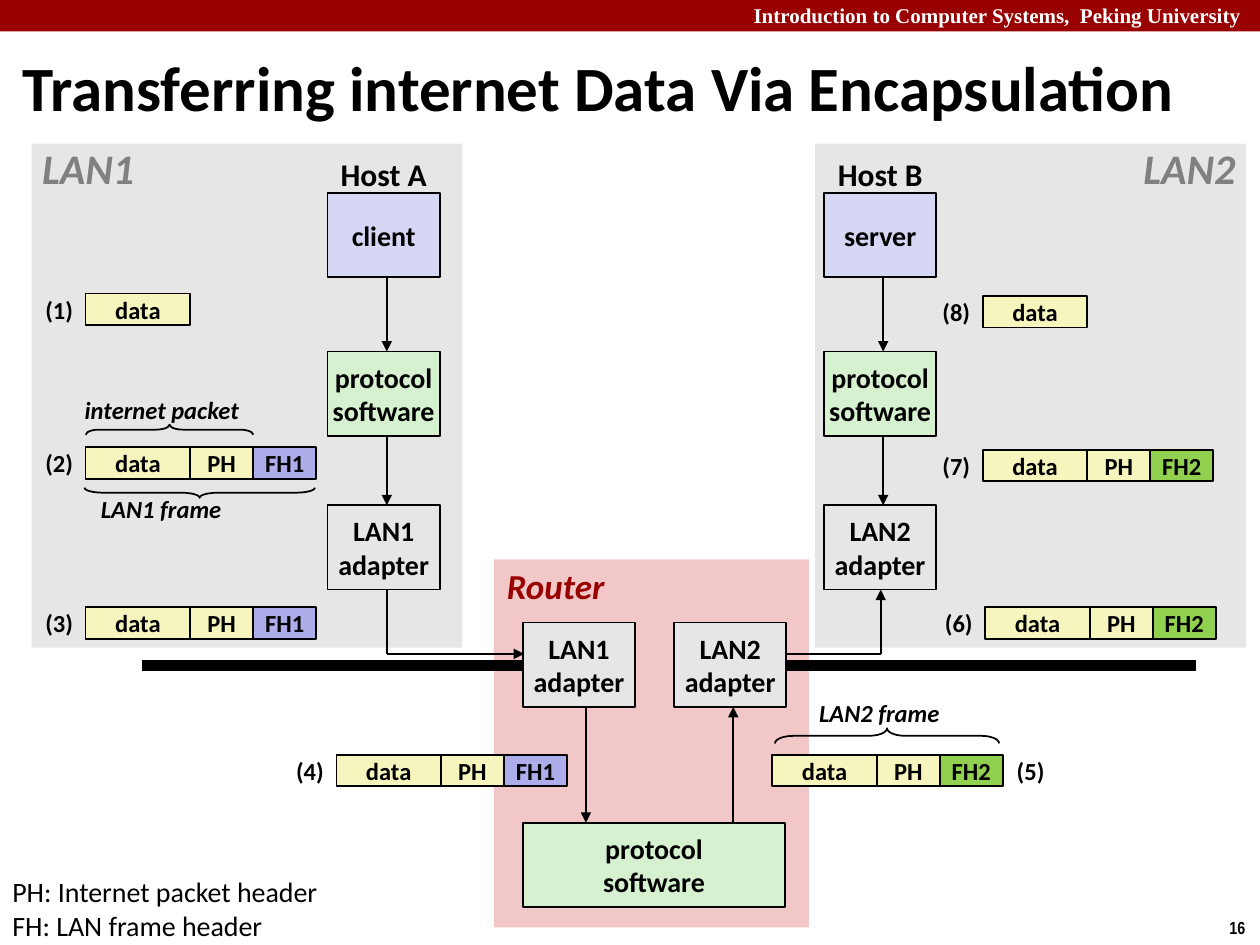
from lxml import etree
from pptx import Presentation
from pptx import util as u
from pptx.dml.color import RGBColor
from pptx.enum import shapes, text
from pptx.oxml.ns import qn

COLORS = {
    "banner": "990000", "white": "FFFFFF", "ink": "000000", "muted": "808080",
    "lan": "E6E6E6", "router": "F1C7C7", "app": "D6D6F5", "protocol": "D5F1CF",
    "adapter": "E6E6E6", "data": "F6F5BD", "PH": "F6F5BD",
    "FH1": "ADADEB", "FH2": "92D050",
}
LEFT, CENTER, RIGHT = (text.PP_ALIGN.LEFT, text.PP_ALIGN.CENTER, text.PP_ALIGN.RIGHT)

# Background areas: left, top, width, height, colour
PANELS = [
    (0, 0, 10, 0.25, "banner"),
    (6.47, 1.14, 3.42, 4, "lan"),
    (0.25, 1.14, 3.42, 4, "lan"),
    (3.92, 4.44, 2.5, 2.92, "router"),
]

# Each host is a column of three stacked boxes
BOX_W, BOX_H = 0.89, 0.67
HOST_ROWS = (1.53, 2.79, 4.01)
HOST_KINDS = ("app", "protocol", "adapter")
HOSTS = [
    (2.6, "Host A", ("client", "protocol\nsoftware", "LAN1\nadapter")),
    (6.54, "Host B", ("server", "protocol\nsoftware", "LAN2\nadapter")),
]
STEM = 0.47  # arrow position within a host box

ROUTER_BOXES = [
    (4.15, 4.94, BOX_W, "LAN1\nadapter", "adapter"),
    (5.35, 4.94, BOX_W, "LAN2\nadapter", "adapter"),
    (4.15, 6.53, 2.08, "protocol\nsoftware", "protocol"),
]

# Routes with an arrowhead at the last point
ROUTES = [
    [(3.07, 4.68), (3.07, 5.19), (4.16, 5.19)],
    [(6.24, 5.19), (6.99, 5.19), (6.99, 4.68)],
    [(4.65, 5.61), (4.65, 6.53)],
    [(5.82, 6.53), (5.82, 5.61)],
]
BUSES = [[(1.13, 5.28), (4.38, 5.28)], [(6.24, 5.28), (9.49, 5.28)]]

# Data units: step, left, top, header of the frame, side of the step number
FIELD_W = {"data": 0.83, "PH": 0.5, "FH1": 0.5, "FH2": 0.5}
FIELD_H = 0.25
UNITS = [
    (1, 0.68, 2.33, ["data"], "before"),
    (2, 0.68, 3.55, ["data", "PH", "FH1"], "before"),
    (3, 0.68, 4.82, ["data", "PH", "FH1"], "before"),
    (4, 2.67, 5.99, ["data", "PH", "FH1"], "before"),
    (5, 6.13, 5.99, ["data", "PH", "FH2"], "after"),
    (6, 7.82, 4.82, ["data", "PH", "FH2"], "before"),
    (7, 7.8, 3.57, ["data", "PH", "FH2"], "before"),
    (8, 7.8, 2.35, ["data"], "before"),
]

# Braces: left, top, span, depth, rotation (90 points up, 270 points down)
BRACES = [
    (0.68, 3.37, 1.33, 0.08, 90),
    (0.67, 3.87, 1.83, 0.08, 270),
    (6.15, 5.78, 1.78, 0.12, 90),
]

# Free text: wording, left, top, width, height, size, colour, style, alignment
LABELS = [
    ("LAN1", 0.23, 1.08, 0.94, 0.5, 24, "muted", "bi", CENTER),
    ("LAN2", 8.97, 1.08, 0.94, 0.5, 24, "muted", "bi", CENTER),
    ("Router", 3.92, 4.43, 0.98, 0.44, 20, "banner", "bi", CENTER),
    ("internet packet", 0.57, 3.08, 1.43, 0.34, 14, "ink", "bi", CENTER),
    ("LAN1 frame", 0.7, 3.87, 1.16, 0.34, 14, "ink", "bi", CENTER),
    ("LAN2 frame", 6.4, 5.49, 1.16, 0.34, 14, "ink", "bi", CENTER),
    ("Transferring internet Data Via Encapsulation",
     0.08, 0.37, 9.67, 0.63, 36, "ink", "b", LEFT),
    ("PH: Internet packet header\nFH: LAN frame header",
     0, 6.89, 2.7, 0.64, 16, "ink", "", LEFT),
]

deck = Presentation()
deck.slide_width, deck.slide_height = u.Inches(10), u.Inches(7.5)
slide = deck.slides.add_slide(deck.slide_layouts[6])


def rgb(name):
    """Look up a palette colour."""
    return RGBColor.from_string(COLORS[name])


def inches(*lengths):
    """Convert lengths to EMU."""
    return [u.Inches(length) for length in lengths]


def write(shape, words, size, color="ink", style="b", align=CENTER, font="Calibri"):
    """Put formatted, vertically centred text into a shape."""
    frame = shape.text_frame
    frame.text = words
    frame.word_wrap = False
    frame.vertical_anchor = text.MSO_ANCHOR.MIDDLE
    for paragraph in frame.paragraphs:
        paragraph.alignment = align
        for run in paragraph.runs:
            run.font.name, run.font.size = font, u.Pt(size)
            run.font.bold, run.font.italic = "b" in style, "i" in style
            run.font.color.rgb = rgb(color)


def label(words, left, top, width, height, *look, **options):
    """Add free text."""
    write(slide.shapes.add_textbox(*inches(left, top, width, height)),
          words, *look, **options)


def block(left, top, width, height, fill, words="", size=16, outlined=True):
    """Add a filled rectangle, optionally outlined and captioned."""
    rect = slide.shapes.add_shape(shapes.MSO_SHAPE.RECTANGLE,
                                  *inches(left, top, width, height))
    rect.shadow.inherit = False
    rect.fill.solid()
    rect.fill.fore_color.rgb = rgb(fill)
    if outlined:
        rect.line.color.rgb, rect.line.width = rgb("ink"), u.Pt(1)
    else:
        rect.line.fill.background()
    if words:
        write(rect, words, size)


def route(points, weight=1, arrow=True):
    """Join points with straight lines, ending in an arrowhead if asked."""
    for start, end in zip(points, points[1:]):
        segment = slide.shapes.add_connector(shapes.MSO_CONNECTOR.STRAIGHT,
                                             *inches(*start, *end))
        segment.line.color.rgb, segment.line.width = rgb("ink"), u.Pt(weight)
        if arrow and end == points[-1]:
            etree.SubElement(segment.line._get_or_add_ln(), qn("a:tailEnd"), type="triangle")
        etree.SubElement(segment._element.spPr, qn("a:effectLst"))


def brace(left, top, span, depth, rotation):
    """Add a horizontal brace by turning a left brace about its centre."""
    shape = slide.shapes.add_shape(
        shapes.MSO_SHAPE.LEFT_BRACE,
        *inches(left + (span - depth) / 2, top + (depth - span) / 2, depth, span))
    shape.rotation = rotation
    shape.adjustments[0] = span / depth / 12.5
    shape.adjustments[0] = max(shape.adjustments[0], 1.2)
    shape.shadow.inherit = False
    shape.fill.background()
    shape.line.color.rgb, shape.line.width = rgb("ink"), u.Pt(1)


def data_unit(step, left, top, fields, side):
    """Add a row of fields with its step number."""
    x = left
    for field in fields:
        block(x, top, FIELD_W[field], FIELD_H, field, field, 14)
        x += FIELD_W[field]
    label(f"({step})", left - 0.43 if side == "before" else x,
          top - 0.04, 0.44, 0.33, 14)


for *area, fill in PANELS:
    block(*area, fill, outlined=False)
for bus in BUSES:
    route(bus, weight=6, arrow=False)
for left, top, width, words, kind in ROUTER_BOXES:
    block(left, top, width, BOX_H, kind, words)
for left, host, parts in HOSTS:
    label(host, left, 1.18, BOX_W, 0.4, 18)
    for top, kind, words in zip(HOST_ROWS, HOST_KINDS, parts):
        block(left, top, BOX_W, BOX_H, kind, words)
    for upper, lower in zip(HOST_ROWS, HOST_ROWS[1:]):
        route([(left + STEM, upper + BOX_H), (left + STEM, lower)])
for points in ROUTES:
    route(points)
for unit in UNITS:
    data_unit(*unit)
for shape_of_span in BRACES:
    brace(*shape_of_span)
for entry in LABELS:
    label(*entry)
label("Introduction to Computer Systems,  Peking University ", 4.75, -0.03, 5.24, 0.3,
      12, "white", align=RIGHT, font="Times New Roman")
label("16", 9.66, 7.23, 0.34, 0.27, 10, align=LEFT, font="Arial Narrow")

deck.save("out.pptx")
